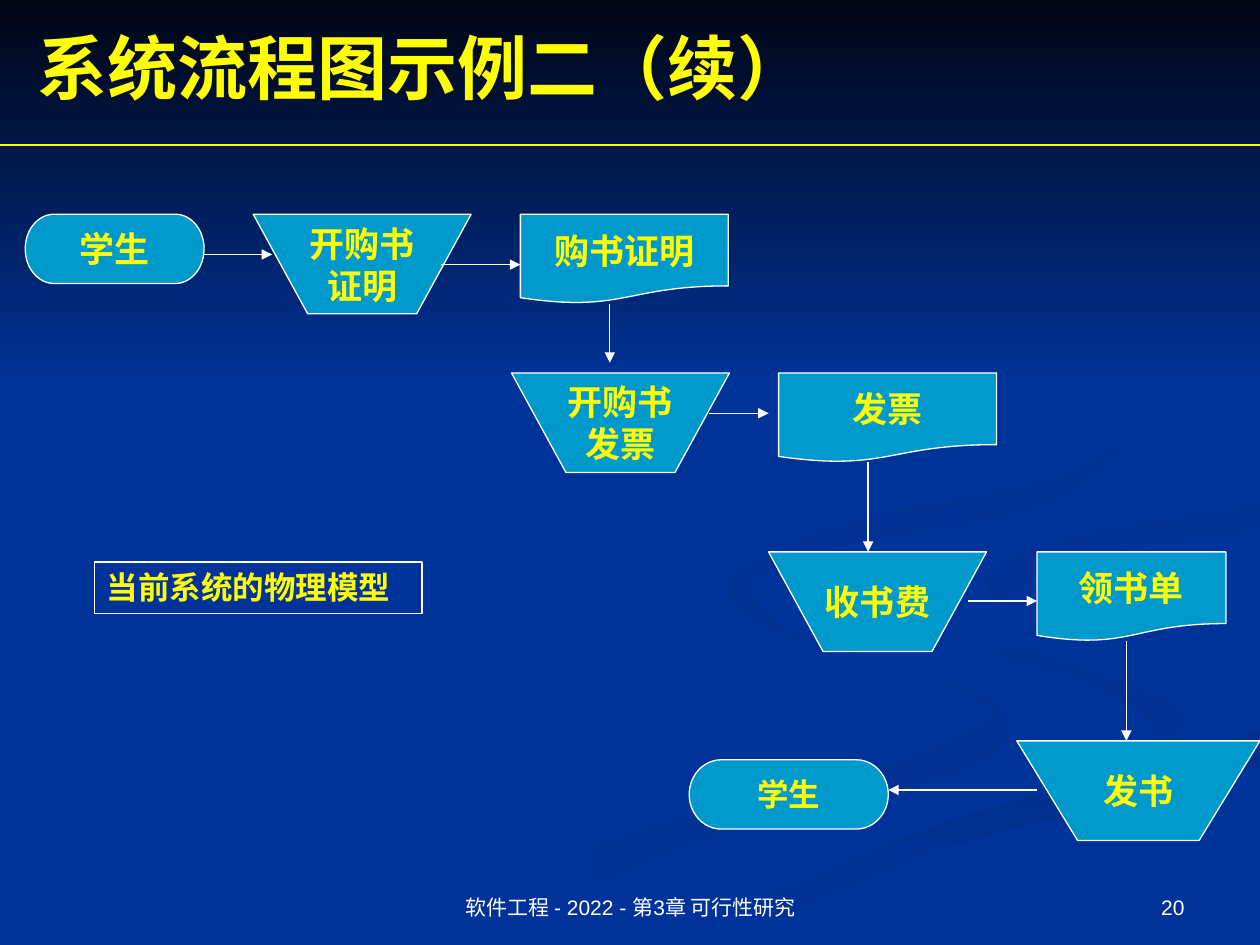
from lxml import etree
from pptx import Presentation
from pptx.dml.color import RGBColor
from pptx.enum.shapes import MSO_CONNECTOR, MSO_SHAPE as Preset
from pptx.enum.text import MSO_ANCHOR as Anchor, MSO_AUTO_SIZE as AutoSize, PP_ALIGN as Align
from pptx.oxml.ns import qn
from pptx.util import Inches, Pt

COLORS = {
    "background": "003399", "night": "000514", "step": "0099CC",
    "outline": "FFFFFF", "accent": "FFFF00", "footer": "FFFFFF",
    "shade_low": "003193", "shade_base": "002F8C",
    "shade_mid": "003091", "shade_top": "002F8E",
}
LINE_WIDTH = Pt(0.75)
STEP_HEIGHT, DOCUMENT_HEIGHT, TERMINAL_HEIGHT = Inches(0.79), Inches(0.71), Inches(0.55)

# Each ribbon: start colour, end colour, clockwise angle, key points of its curve in inches
RIBBONS = [
    ("background", "shade_low", 0, [
        (7.81, 5.53), (6.82, 5.19), (5.94, 4.85), (5.75, 4.6), (6.02, 4.95), (7.14, 5.3),
        (7.86, 5.66), (6.99, 6.09), (4.99, 6.61), (3, 7.49), (3.61, 7.49), (5.64, 6.65),
        (7.56, 6.14), (8, 5.81)]),
    ("background", "shade_low", 45, [
        (9.43, 5.7), (8.7, 5.3), (7.58, 4.98), (7.24, 4.64), (7.66, 5.12), (8.68, 5.44),
        (9.18, 5.81), (8.94, 6.05)]),
    ("shade_base", "background", 90, [
        (5.03, 7.49), (5.71, 7.49), (7.52, 6.72), (9.98, 6.09), (9.98, 5.81), (7.97, 6.38),
        (6.3, 6.93)]),
    ("background", "background", 0, [
        (7.25, 4.64), (8.31, 5.19), (9.43, 5.7), (8.43, 6.18), (6.19, 6.84), (4.77, 7.49),
        (5.19, 7.47), (7.65, 6.47), (9.99, 5.81), (9.99, 5.38), (8.48, 5.03), (7.82, 4.6),
        (8.5, 4.27), (9.99, 4.02), (9.99, 3.87), (8.08, 4.17)]),
    ("shade_mid", "background", 45, [
        (7.81, 4.6), (8.26, 4.96), (8.05, 4.72), (8.78, 4.39), (9.98, 4.2), (9.98, 4.02),
        (8.49, 4.27)]),
    ("shade_top", "background", 45, [
        (6.83, 4.3), (8.25, 4.02), (8.94, 3.44), (8.54, 2.83), (7.62, 2.33), (8.46, 2.79),
        (8.89, 3.35), (8.42, 3.78), (6.76, 4.14), (5.77, 4.62), (6.22, 5), (5.96, 4.61)]),
]
CURVE_STEPS = 5

# Flow parts, in inches from the corner of the flow: text, left, top, width
OPERATIONS = [("开购书\n证明", 1.81, 0, 1.73), ("开购书\n发票", 3.86, 1.26, 1.73),
              ("收书费", 5.9, 2.68, 1.73), ("发书", 7.87, 4.18, 1.93)]
DOCUMENTS = [("购书证明", 3.93, 0, 1.65), ("发票", 5.98, 1.26, 1.73), ("领书单", 8.03, 2.68, 1.5)]
TERMINALS = [("学生", 0, 0, 1.42, 20), ("学生", 5.27, 4.33, 1.58, 18)]
# Arrows: left, top, run across, run down
ARROWS = [(1.41, 0.32, 0.55, 0), (3.3, 0.4, 0.63, 0), (4.64, 0.71, 0, 0.47),
          (5.43, 1.58, 0.47, 0), (6.69, 1.97, 0, 0.71), (7.48, 3.07, 0.55, 0),
          (8.74, 3.39, 0, 0.79), (8.03, 4.57, -1.18, 0)]


def rgb(name):
    return RGBColor.from_string(COLORS[name])


def write(frame, text, size, align, anchor=Anchor.MIDDLE, wrap=True,
          color="accent", font="Times New Roman", bold=True):
    frame.text = text
    frame.word_wrap = wrap
    frame.vertical_anchor = anchor
    for paragraph in frame.paragraphs:
        paragraph.alignment = align
        for run in paragraph.runs:
            run.font.name, run.font.size, run.font.bold = font, Pt(size), bold
            run.font.color.rgb = rgb(color)


def smooth(points):
    """Return a closed Catmull-Rom curve through the key points."""
    curve = []
    for i, start in enumerate(points):
        before, end, after = points[i - 1], points[(i + 1) % len(points)], points[(i + 2) % len(points)]
        for step in range(CURVE_STEPS):
            t = step / CURVE_STEPS
            curve.append(tuple(
                b + t / 2 * (c - a + t * (2 * a - 5 * b + 4 * c - d + t * (3 * (b - c) + d - a)))
                for a, b, c, d in zip(before, start, end, after)))
    return curve


def add_outline(slide, points):
    builder = slide.shapes.build_freeform(*points[0])
    builder.add_line_segments(points[1:], close=True)
    outline = builder.convert_to_shape()
    outline.shadow.inherit = False
    return outline


def add_line(slide, start, end, color, arrow=False):
    line = slide.shapes.add_connector(MSO_CONNECTOR.STRAIGHT, *start, *end)
    line.line.color.rgb = rgb(color)
    line.line.width = LINE_WIDTH
    properties = line.element.spPr
    if arrow:
        etree.SubElement(properties.find(qn("a:ln")), qn("a:tailEnd"), type="triangle")
    etree.SubElement(properties, qn("a:effectLst"))


def shade(area, first, last, angle):
    area.line.fill.background()
    if first == last:
        area.fill.solid()
        area.fill.fore_color.rgb = rgb(first)
        return
    area.fill.gradient()
    area.fill.gradient_angle = (360 - angle) % 360
    for stop, color in zip(area.fill.gradient_stops, (first, last)):
        stop.color.rgb = rgb(color)


def draw_backdrop(slide, left, top, width, sky_height):
    slide.background.fill.solid()
    slide.background.fill.fore_color.rgb = rgb("background")
    for first, last, angle, points in RIBBONS:
        curve = [(left + Inches(x), top + Inches(y)) for x, y in smooth(points)]
        shade(add_outline(slide, curve), first, last, angle)
    right, bottom = left + width, top + sky_height
    sky = add_outline(slide, [(left, top), (left, bottom), (right, bottom), (right, top)])
    shade(sky, "night", "background", 90)


def draw_heading(slide, left, top, width, height):
    title = slide.shapes.title
    title.left, title.top, title.width, title.height = left, top, width, height
    write(title.text_frame, "系统流程图示例二（续）", 40, Align.LEFT)
    title.text_frame.auto_size = AutoSize.NONE
    title.element.getparent().append(title.element)  # bring in front of the backdrop
    rule_top = top + Inches(1.01)
    add_line(slide, (0, rule_top), (Inches(10), rule_top), "accent")


def finish_step(step, text, size=20):
    step.shadow.inherit = False
    step.fill.solid()
    step.fill.fore_color.rgb = rgb("step")
    step.line.color.rgb = rgb("outline")
    step.line.width = LINE_WIDTH
    write(step.text_frame, text, size, Align.CENTER, wrap=False)


def draw_flow(slide, left, top):
    def place(x, y):
        return left + Inches(x), top + Inches(y)

    for text, x, y, width, size in TERMINALS:
        terminal = slide.shapes.add_shape(
            Preset.FLOWCHART_TERMINATOR, *place(x, y), Inches(width), TERMINAL_HEIGHT)
        finish_step(terminal, text, size)
    for text, x, y, width in OPERATIONS:
        (x1, y1), (x2, _) = place(x, y), place(x + width, y)
        inset, y2 = (x2 - x1) // 4, y1 + STEP_HEIGHT
        corners = [(x1, y1), (x1 + inset, y2), (x2 - inset, y2), (x2, y1)]
        finish_step(add_outline(slide, corners), text)
    for text, x, y, width in DOCUMENTS:
        document = slide.shapes.add_shape(
            Preset.FLOWCHART_DOCUMENT, *place(x, y), Inches(width), DOCUMENT_HEIGHT)
        finish_step(document, text)
    for x, y, across, down in ARROWS:
        add_line(slide, place(x, y), place(x + across, y + down), "outline", arrow=True)


def draw_caption(slide, left, top, width, height):
    caption = slide.shapes.add_shape(Preset.RECTANGLE, left, top, width, height)
    caption.shadow.inherit = False
    caption.fill.background()
    caption.line.color.rgb = rgb("outline")
    caption.line.width = LINE_WIDTH
    write(caption.text_frame, "当前系统的物理模型", 18, Align.LEFT, Anchor.TOP)
    caption.text_frame.auto_size = AutoSize.SHAPE_TO_FIT_TEXT


def draw_footer(slide, top, height):
    for text, left, width, align in [
            ("软件工程 - 2022 - 第3章 可行性研究", 3.42, 3.17, Align.CENTER),
            ("20", 7.17, 2.33, Align.RIGHT)]:
        note = slide.shapes.add_textbox(Inches(left), top, Inches(width), height)
        write(note.text_frame, text, 12, align, Anchor.BOTTOM,
              color="footer", font="Arial", bold=False)


def main():
    deck = Presentation()
    deck.slide_width, deck.slide_height = Inches(10), Inches(7.5)
    slide = deck.slides.add_slide(deck.slide_layouts[5])
    draw_backdrop(slide, 0, 0, deck.slide_width, Inches(3.08))
    draw_heading(slide, Inches(0.2), Inches(0.14), Inches(9), Inches(0.77))
    draw_flow(slide, Inches(0.2), Inches(1.7))
    draw_caption(slide, Inches(0.75), Inches(4.46), Inches(2.6), Inches(0.41))
    draw_footer(slide, Inches(6.83), Inches(0.52))
    deck.save("out.pptx")


if __name__ == "__main__":
    main()
